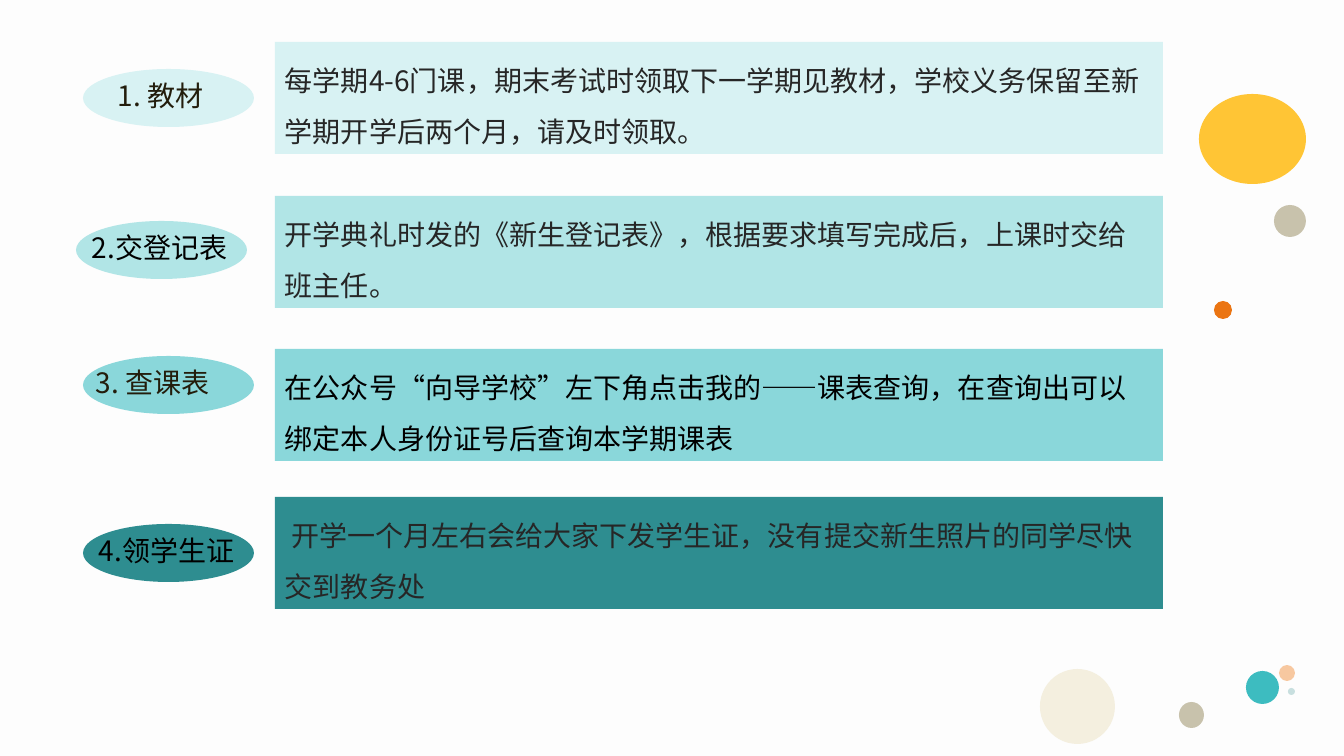
import pptx
import pptx.util
import pptx.dml.color
import pptx.enum.shapes
import pptx.enum.text
import pptx.oxml
import pptx.oxml.ns
from dataclasses import dataclass

SCALE = 12 * 914400 / 1209.6
KIND = pptx.enum.shapes.MSO_SHAPE


@dataclass(frozen=True)
class Theme:
    """Holds the colours, font and type size of the slide."""
    back: str = "FDFDFD"
    tints: tuple = ("D8F2F3", "B1E5E6", "8AD7DA", "2E8D90")
    black: str = "000000"
    grey: str = "262626"
    brown: str = "231D0C"
    teal: str = "3DBCC0"
    peach: str = "F7C8A0"
    mist: str = "C8DFDF"
    orange: str = "EB7513"
    cream: str = "F4EFDF"
    stone: str = "C8C2AC"
    gold: str = "FFC535"
    font: str = "Noto Sans CJK SC"
    size: int = 20


LOOK = Theme()


def px(num):
    """Turns pixels into EMU."""
    return pptx.util.Emu(round(num * SCALE))


def rgb(code):
    """Turns a hex code into a colour."""
    return pptx.dml.color.RGBColor.from_string(code)


def style(thing, vals):
    """Sets each attribute named in a dict."""
    for key, val in vals.items():
        setattr(thing, key, val)


def draw(slide, kind, box, fill):
    """Adds a flat filled shape without a line."""
    shape = slide.shapes.add_shape(kind, *map(px, box))
    shape.shadow.inherit = False
    shape.fill.solid()
    shape.fill.fore_color.rgb = rgb(fill)
    shape.line.fill.background()
    return shape


def write(shape, text, ink, space):
    """Puts one left-aligned paragraph into a shape."""
    frame = shape.text_frame
    style(frame, {"word_wrap": True,
                  "vertical_anchor": pptx.enum.text.MSO_ANCHOR.TOP})
    para = frame.paragraphs[0]
    style(para, {"alignment": pptx.enum.text.PP_ALIGN.LEFT,
                 "line_spacing": space})
    run = para.add_run()
    run.text = text
    style(run.font, {"name": LOOK.font, "size": pptx.util.Pt(LOOK.size)})
    run.font.color.rgb = rgb(ink)
    east = pptx.oxml.ns.qn("a:ea")
    run.font._element.makeelement(east)
    pptx.oxml.xmlchemy.OxmlElement("a:ea")
    node = pptx.oxml.xmlchemy.OxmlElement("a:ea")
    node.set("typeface", LOOK.font)
    run.font._element.find(pptx.oxml.ns.qn("a:latin")).addnext(node)


def row(slide, box, tint, badge, label, body):
    """Places a numbered badge and its text bar in a box."""
    left, top, wide, high = box
    dx, dy, inset = badge
    bar = draw(slide, KIND.RECTANGLE, (left + 192, top, wide - 192, high), tint)
    write(bar, *body, 1.5)
    x, y = left + dx, top + dy
    draw(slide, KIND.OVAL, (x, y, 171, 58), tint)
    tag = slide.shapes.add_textbox(*map(px, (x + inset, y + 5, 190, 44)))
    write(tag, *label, 1.0)


def dots(slide, box, items):
    """Scatters ovals relative to a box."""
    left, top = box[:2]
    for x, y, wide, high, fill in items:
        draw(slide, KIND.OVAL, (left + x, top + y, wide, high), fill)


ROWS = (
    (42, (0, 27, 25), ("1. 教材", LOOK.brown),
     ("每学期4-6门课，期末考试时领取下一学期见教材，学校义务保留至"
      "新学期开学后两个月，请及时领取。", LOOK.grey)),
    (196, (-7, 25, 6), ("2.交登记表", LOOK.black),
     ("开学典礼时发的《新生登记表》，根据要求填写完成后，上课时交给班主任。",
      LOOK.grey)),
    (349, (0, 7, 3), ("3. 查课表", LOOK.brown),
     ("在公众号“向导学校”左下角点击我的——课表查询，在查询出可以"
      "绑定本人身份证号后查询本学期课表", LOOK.black)),
    (497, (0, 27, 6), ("4.领学生证", LOOK.black),
     (" 开学一个月左右会给大家下发学生证，没有提交新生照片的同学尽快"
      "交到教务处", LOOK.grey)),
)
UPPER = ((0, 0, 107, 90, LOOK.gold), (75, 111, 32, 32, LOOK.stone),
         (15, 207, 18, 18, LOOK.orange))
LOWER = ((206, 6, 33, 33, LOOK.teal), (239, 0, 16, 16, LOOK.peach),
         (248, 23, 7, 7, LOOK.mist), (0, 4, 75, 75, LOOK.cream),
         (139, 37, 25, 26, LOOK.stone))

deck = pptx.Presentation()
style(deck, {"slide_width": px(1344), "slide_height": px(756)})
page = deck.slides.add_slide(deck.slide_layouts[6])
page.background.fill.solid()
page.background.fill.fore_color.rgb = rgb(LOOK.back)
dots(page, (1199, 94, 107, 225), UPPER)
dots(page, (1040, 665, 255, 79), LOWER)
for tint, (top, badge, label, body) in zip(LOOK.tints, ROWS):
    row(page, (83, top, 1080, 112), tint, badge, label, body)
deck.save("out.pptx")
